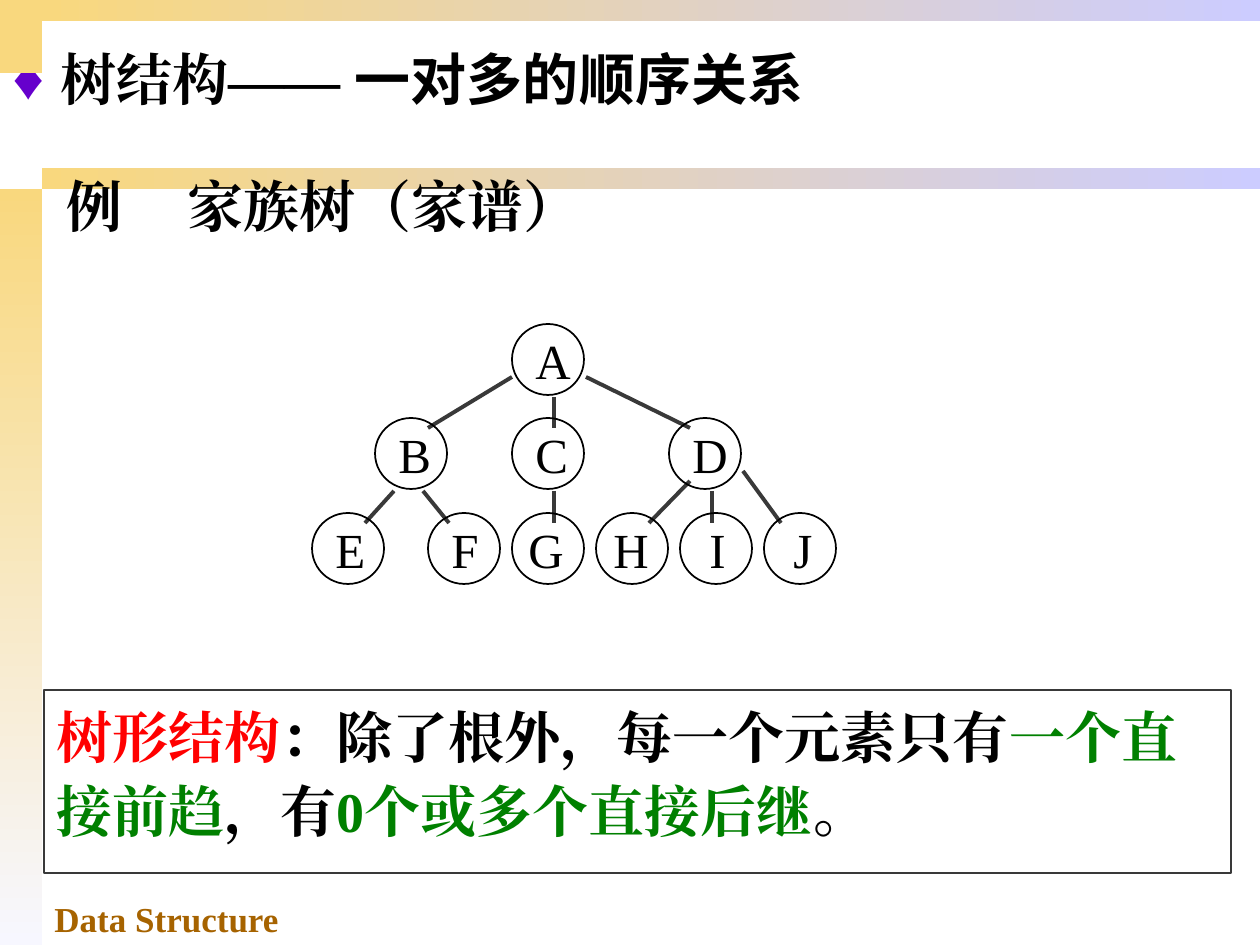
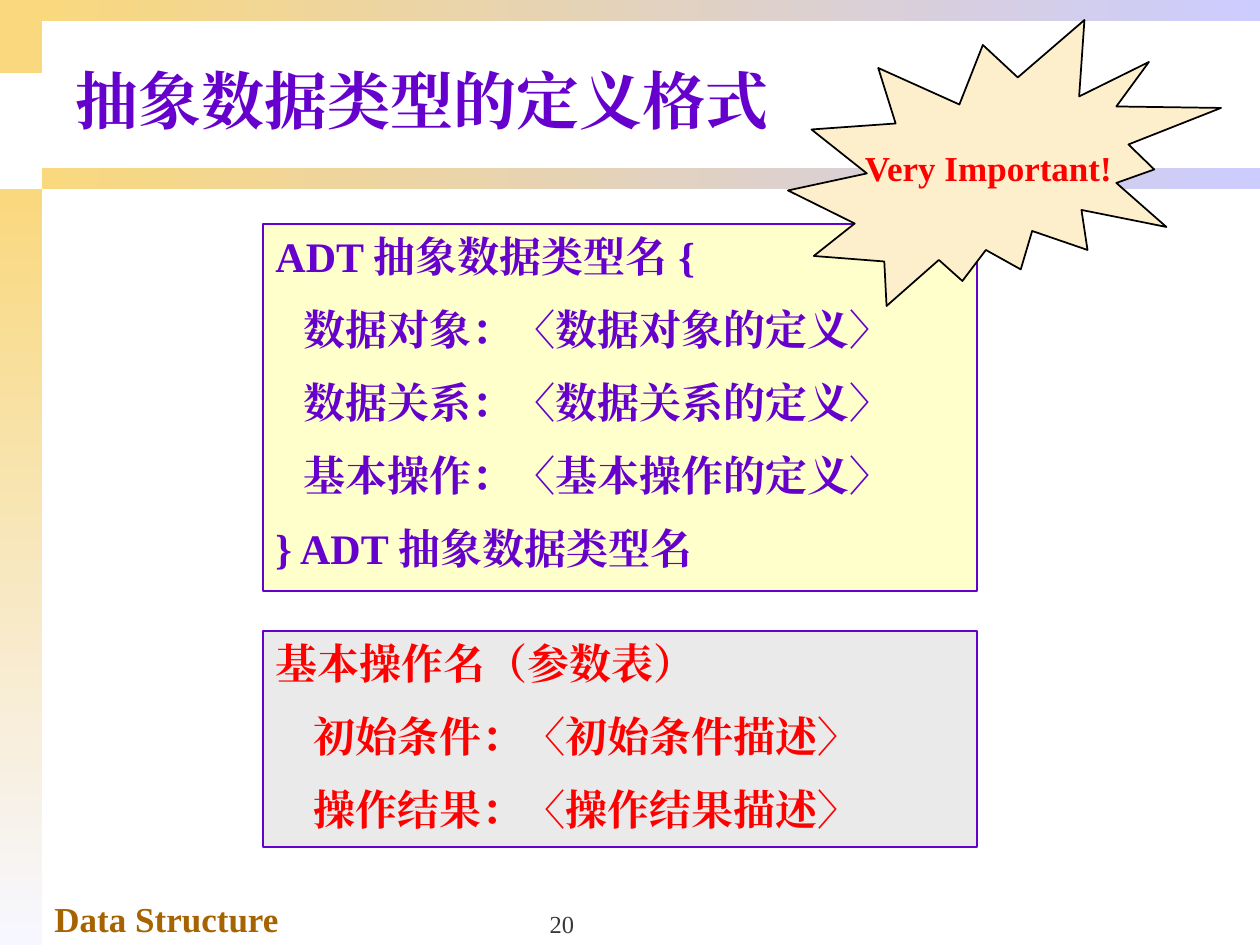
from lxml.etree import SubElement
from pptx import Presentation
from pptx.dml.color import RGBColor
from pptx.enum.shapes import MSO_CONNECTOR, MSO_SHAPE
from pptx.enum.text import MSO_ANCHOR, MSO_AUTO_SIZE, PP_ALIGN
from pptx.oxml.ns import qn
from pptx.util import Emu, Pt

PX_PER_INCH = 126
SERIF = "Times New Roman"
SANS = "Noto Sans CJK SC"

BLACK = "000000"
CHARCOAL = "393939"
GOLD = "F9D87E"
LAVENDER = "CCCCFF"
PALE = "F7F7FF"
BROWN = "A66300"
PURPLE = "6600CC"
RED = "FF0000"
GREEN = "008000"
YELLOW = "FFFFCC"
GREY = "EAEAEA"
CREAM = "FDEFCB"

NODE_W, NODE_H = 72, 71
ROW_TOPS = (324, 418, 513)
LETTER_SHIFT = {"G": 4, "H": 5, "I": 17, "J": 17}
LEAF_X, LEAF_PITCH = 428, 84
NODES = [("A", 512, 0), ("B", 375, 1), ("C", 512, 1), ("D", 669, 1), ("E", 312, 2)]
NODES += [(letter, LEAF_X + i * LEAF_PITCH, 2) for i, letter in enumerate("FGHIJ")]
BRANCHES = [
    (554, 397, 554, 428),
    (512, 377, 428, 428),
    (586, 377, 690, 428),
    (394, 491, 365, 523),
    (423, 491, 449, 523),
    (554, 491, 554, 523),
    (690, 481, 649, 523),
    (712, 491, 712, 523),
    (743, 471, 781, 523),
]


def px(length):
    return Emu(round(length * 914400 / PX_PER_INCH))


def rgb(value):
    return RGBColor.from_string(value)


def place(shape, box):
    shape.left, shape.top, shape.width, shape.height = map(px, box)


def style_run(run, size, color, bold, font):
    run.font.size = Pt(size)
    run.font.bold = bold
    run.font.color.rgb = rgb(color)
    run.font.name = font
    properties = run.font._element
    SubElement(properties, qn("a:ea")).set("typeface", font)


def write(frame, paragraphs, size, bold=True, align=PP_ALIGN.LEFT,
          anchor=MSO_ANCHOR.TOP, wrap=True, gap=0, line_spacing=None):
    frame.auto_size = MSO_AUTO_SIZE.NONE
    frame.word_wrap = wrap
    frame.vertical_anchor = anchor
    for index, pieces in enumerate(paragraphs):
        paragraph = frame.paragraphs[0] if index == 0 else frame.add_paragraph()
        paragraph.alignment = align
        paragraph.space_before = Pt(gap if index else 0)
        if line_spacing:
            paragraph.line_spacing = line_spacing
        for text, color, *font in pieces:
            run = paragraph.add_run()
            run.text = text
            style_run(run, size, color, bold, font[0] if font else SERIF)


def indent(paragraph, left, first=0):
    properties = paragraph._p.get_or_add_pPr()
    properties.set("marL", str(px(left)))
    properties.set("indent", str(px(first)))
    return properties


def add_bullet(paragraph, symbol, color, percent, hang):
    properties = indent(paragraph, hang, -hang)
    bullet_color = SubElement(properties, qn("a:buClr"))
    SubElement(bullet_color, qn("a:srgbClr")).set("val", color)
    SubElement(properties, qn("a:buSzPct")).set("val", str(percent * 1000))
    SubElement(properties, qn("a:buFont")).set("typeface", SERIF)
    SubElement(properties, qn("a:buChar")).set("char", symbol)


def add_tab_stop(paragraph, position):
    stops = SubElement(paragraph._p.get_or_add_pPr(), qn("a:tabLst"))
    stop = SubElement(stops, qn("a:tab"))
    stop.set("pos", str(px(position)))
    stop.set("algn", "l")


def add_figure(shapes, kind, box, fill=None, line=None, width=1):
    figure = shapes.add_shape(kind, *map(px, box))
    figure.shadow.inherit = False
    if fill:
        figure.fill.solid()
        figure.fill.fore_color.rgb = rgb(fill)
    else:
        figure.fill.background()
    if line:
        figure.line.color.rgb = rgb(line)
        figure.line.width = Pt(width)
    else:
        figure.line.fill.background()
    return figure


def add_gradient_band(slide, box, end, angle):
    band = add_figure(slide.shapes, MSO_SHAPE.RECTANGLE, box)
    band.fill.gradient()
    band.fill.gradient_angle = angle
    for stop, color in zip(band.fill.gradient_stops, (GOLD, end)):
        stop.color.rgb = rgb(color)


def add_label(shapes, box, text, size, color, **options):
    label = shapes.add_textbox(*map(px, box))
    write(label.text_frame, [[(text, color)]], size, **options)
    return label


def add_branch(shapes, ends):
    branch = shapes.add_connector(MSO_CONNECTOR.STRAIGHT, *map(px, ends))
    branch.line.color.rgb = rgb(CHARCOAL)
    branch.line.width = Pt(2.25)
    SubElement(branch.element.spPr, qn("a:effectLst"))


def add_node(shapes, letter, left, row):
    top = ROW_TOPS[row]
    add_figure(shapes, MSO_SHAPE.OVAL, (left, top, NODE_W, NODE_H), line=BLACK)
    letter_left = left + LETTER_SHIFT.get(letter, 11)
    add_label(shapes, (letter_left, top, NODE_W, NODE_W), letter, 28, BLACK, bold=False)


def add_definition(slide, box, lines, color, fill, inner, inner_indent):
    panel = add_figure(slide.shapes, MSO_SHAPE.RECTANGLE, box, fill, PURPLE)
    write(panel.text_frame, [[(line, color)] for line in lines], 24, gap=13)
    for paragraph in panel.text_frame.paragraphs[inner]:
        indent(paragraph, inner_indent)


def add_themed_slide(deck, title_box, title_runs, size, **options):
    slide = deck.slides.add_slide(deck.slide_layouts[5])
    add_figure(slide.shapes, MSO_SHAPE.RECTANGLE, (0, 0, 42, 73), GOLD)
    add_gradient_band(slide, (0, 189, 42, 756), PALE, 270)
    for top in (168, 0):
        add_gradient_band(slide, (42, top, 1218, 21), LAVENDER, 0)
    add_label(slide.shapes, (42, 891, 441, 54), "Data Structure", 20, BROWN)
    title = slide.shapes.title
    place(title, title_box)
    write(title.text_frame, [title_runs], size, **options)
    return slide


def build_tree_slide(deck):
    heading = [("树结构—— ", BLACK), ("一对多的顺序关系", BLACK, SANS)]
    slide = add_themed_slide(deck, (0, 32, 1260, 104), heading, 32, line_spacing=1.1)
    add_bullet(slide.shapes.title.text_frame.paragraphs[0], "♦", PURPLE, 110, 48)

    tree = slide.shapes.add_group_shape().shapes
    for ends in BRANCHES:
        add_branch(tree, ends)
    for node in NODES:
        add_node(tree, *node)

    example = add_label(slide.shapes, (54, 165, 774, 80), "例\t家族树（家谱）", 32, BLACK)
    add_tab_stop(example.text_frame.paragraphs[0], 121)

    summary = add_figure(slide.shapes, MSO_SHAPE.RECTANGLE, (44, 690, 1187, 183),
                         line=CHARCOAL, width=0.75)
    write(summary.text_frame, [[
        ("树形结构", RED),
        ("：除了根外，每一个元素只有", BLACK),
        ("一个直接前趋", GREEN),
        ("，有", BLACK),
        ("0个或多个直接后继", GREEN),
        ("。", BLACK),
    ]], 32, line_spacing=1.1)


def build_adt_slide(deck):
    slide = add_themed_slide(deck, (63, 32, 1197, 135), [("抽象数据类型的定义格式", PURPLE)],
                             36, anchor=MSO_ANCHOR.MIDDLE)
    add_label(slide.shapes, (431, 882, 262, 63), "20", 14, CHARCOAL, bold=False,
              align=PP_ALIGN.CENTER, anchor=MSO_ANCHOR.BOTTOM)
    parts = [f"{part}：〈{part}的定义〉" for part in ("数据对象", "数据关系", "基本操作")]
    add_definition(slide, (263, 224, 714, 367),
                   ["ADT 抽象数据类型名 {", *parts, "} ADT 抽象数据类型名"],
                   PURPLE, YELLOW, slice(1, 4), 28)
    clauses = [f"{clause}：〈{clause}描述〉" for clause in ("初始条件", "操作结果")]
    add_definition(slide, (263, 631, 714, 216), ["基本操作名（参数表）", *clauses],
                   RED, GREY, slice(1, 3), 38)
    burst = add_figure(slide.shapes, MSO_SHAPE.EXPLOSION2, (788, 20, 433, 286), CREAM, BLACK)
    write(burst.text_frame, [[("Very Important!", RED)]], 20, align=PP_ALIGN.CENTER,
          anchor=MSO_ANCHOR.MIDDLE, wrap=False)


def main():
    deck = Presentation()
    deck.slide_width, deck.slide_height = px(1260), px(945)
    build_tree_slide(deck)
    build_adt_slide(deck)
    deck.save("out.pptx")


if __name__ == "__main__":
    main()
